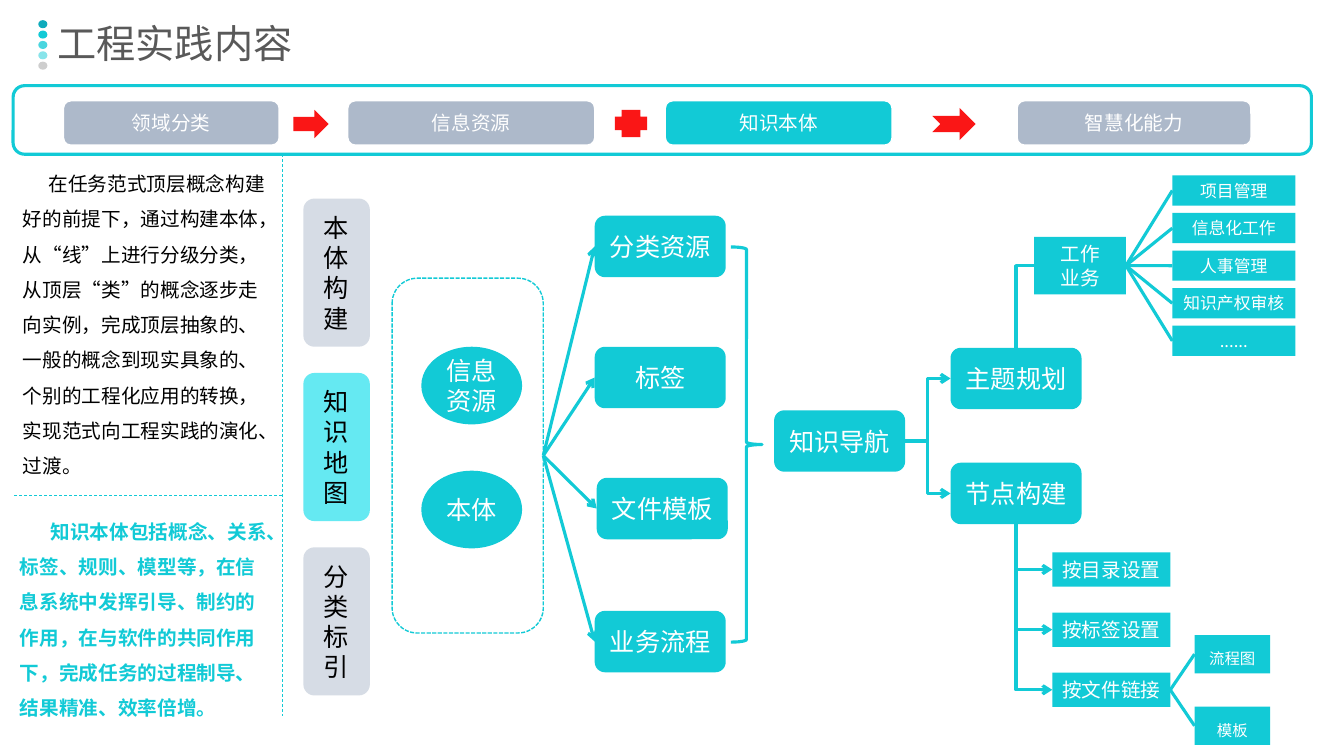
from dataclasses import dataclass

from lxml import etree
from pptx import Presentation, util as u
from pptx.dml.color import RGBColor
from pptx.enum import dml, shapes, text
from pptx.oxml import ns

KIND = shapes.MSO_SHAPE
ALIGN = text.PP_ALIGN
ANCHOR = text.MSO_ANCHOR
TOP, LEFT, BOTTOM, RIGHT = range(4)


@dataclass(frozen=True)
class Theme:
    """Colours, font, type sizes and line widths of the slide."""
    face: str = "Noto Sans CJK SC"
    teal: str = "12CAD6"
    deep: str = "0FABBC"
    aqua: str = "65E9F2"
    slate: str = "ADB9CA"
    pale: str = "D6DCE5"
    grey: str = "BFBFBF"
    ink: str = "595959"
    red: str = "FA1616"
    black: str = "000000"
    white: str = "FFFFFF"
    title: int = 28
    large: int = 18
    body: int = 14
    small: int = 12
    tiny: int = 11
    thick: float = 2.25
    thin: float = 0.5


T = Theme()


def cell(n):
    """Turn grid cells, ten to the inch, into a length."""
    return u.Inches(n / 10)


def area(box):
    """Turn a column, row, width and height into lengths."""
    return [cell(n) for n in box]


def child(node, tag, **attrs):
    """Append a drawing element to a node."""
    return etree.SubElement(node, ns.qn(tag), attrs)


def write(frame, words, size, color, align=ALIGN.CENTER, bold=False, gap=None, indent=0):
    """Set the words of a frame and format their runs."""
    frame.text = words
    for para in frame.paragraphs:
        para.alignment = align
        if gap:
            para.line_spacing = gap
        if indent:
            para._p.get_or_add_pPr().set("indent", str(cell(indent)))
        for run in para.runs:
            font = run.font
            font.size, font.bold = u.Pt(size), bold
            font.color.rgb = RGBColor.from_string(color)
            font.name = T.face
            child(run._r.get_or_add_rPr(), "a:ea", typeface=T.face)


def shape(slide, kind, box, fill=None, line=None, width=1, alpha=None):
    """Add a flat shape with an optional fill and outline."""
    item = slide.shapes.add_shape(kind, *area(box))
    item.shadow.inherit = False
    if fill:
        item.fill.solid()
        item.fill.fore_color.rgb = RGBColor.from_string(fill)
        if alpha:
            tint = item._element.spPr.find(".//" + ns.qn("a:srgbClr"))
            child(tint, "a:alpha", val=str(alpha * 1000))
    else:
        item.fill.background()
    if line:
        item.line.color.rgb = RGBColor.from_string(line)
        item.line.width = u.Pt(width)
    else:
        item.line.fill.background()
    return item


def node(slide, words, box, kind=KIND.RECTANGLE, size=T.large, fill=T.teal,
         color=T.white, line=None, wrap=True):
    """Add a filled shape with centred words."""
    item = shape(slide, kind, box, fill, line)
    frame = item.text_frame
    frame.word_wrap = wrap
    frame.vertical_anchor = ANCHOR.MIDDLE
    write(frame, words, size, color)
    return item


def note(slide, words, box, color, indent, bold=False):
    """Add a wrapped paragraph with a first-line indent."""
    frame = slide.shapes.add_textbox(*area(box)).text_frame
    frame.word_wrap = True
    write(frame, words, T.body, color, ALIGN.LEFT, bold, 1.5, indent)


def wire(slide, ends, width=T.thick, bent=False):
    """Add a teal connector between two grid points."""
    kind = shapes.MSO_CONNECTOR.ELBOW if bent else shapes.MSO_CONNECTOR.STRAIGHT
    line = slide.shapes.add_connector(kind, *area(ends))
    line.line.color.rgb = RGBColor.from_string(T.teal)
    line.line.width = u.Pt(width)
    child(line._element.spPr, "a:effectLst")
    return line


def tip(line, end="a:tailEnd"):
    """Put an open arrowhead on one end of a connector."""
    child(line.line._get_or_add_ln(), end, type="arrow")


def link(slide, start, stop, arrow=False, bent=False):
    """Join the right side of one node to the left side of another."""
    line = wire(slide, (0, 0, 0, 0), bent=bent)
    line.begin_connect(start, RIGHT)
    line.end_connect(stop, LEFT)
    if arrow:
        tip(line)


def branch(slide, leaf, stem, side, arrow=False):
    """Join the left side of a leaf to the top or bottom of its stem."""
    line = wire(slide, (0, 0, 0, 0), bent=True)
    line.begin_connect(leaf, LEFT)
    line.end_connect(stem, side)
    line._element.spPr.find(ns.qn("a:prstGeom")).set("prst", "bentConnector2")
    if arrow:
        tip(line, "a:headEnd")


def dash(slide, ends):
    """Add a thin dashed divider."""
    wire(slide, ends, T.thin).line.dash_style = dml.MSO_LINE.DASH


def head(slide):
    """Format the title and its column of dots."""
    dots = [(T.deep, None), (T.teal, None), (T.teal, 76), (T.teal, 50), (T.grey, 76)]
    for i, (color, alpha) in enumerate(dots):
        shape(slide, KIND.OVAL, (3.8, 2 + 1.03 * i, 0.9, 0.8), color, alpha=alpha)
    title = slide.shapes.title
    title.left, title.top, title.width, title.height = area((4.7, 1.9, 54.4, 5.2))
    title.text_frame.vertical_anchor = ANCHOR.MIDDLE
    write(title.text_frame, "工程实践内容", T.title, T.ink, ALIGN.LEFT, gap=0.9)


def banner(slide):
    """Draw the framed chain of steps."""
    steps = [("领域分类", 6.3, 21.4, T.slate), ("信息资源", 34.5, 24.5, T.slate),
             ("知识本体", 66, 22.5, T.teal), ("智慧化能力", 100.9, 23.2, T.slate)]
    for words, col, width, fill in steps:
        node(slide, words, (col, 10, width, 4.4), KIND.ROUNDED_RECTANGLE,
             T.body, fill, line=T.white)
    shape(slide, KIND.ROUNDED_RECTANGLE, (1.3, 8.5, 128.8, 6.8), line=T.teal, width=T.thick)
    shape(slide, KIND.RIGHT_ARROW, (29.1, 10.9, 3.5, 2.8), T.red)
    shape(slide, KIND.CROSS, (61, 10.9, 3.2, 2.7), T.red)
    shape(slide, KIND.NOTCHED_RIGHT_ARROW, (92.5, 10.7, 4.3, 3.2), T.red)


def aside(slide):
    """Write the two notes, their dividers and the side labels."""
    dash(slide, (28, 15.3, 28, 71))
    dash(slide, (28, 49.1, 1.3, 49.1))
    note(slide, "在任务范式顶层概念构建好的前提下，通过构建本体，从“线”上进行分级分类，"
         "从顶层“类”的概念逐步走向实例，完成顶层抽象的、一般的概念到现实具象的、"
         "个别的工程化应用的转换，实现范式向工程实践的演化、过渡。",
         (1.3, 15.4, 26.7, 32.8), T.black, 2.55)
    note(slide, "知识本体包括概念、关系、标签、规则、模型等，在信息系统中发挥引导、制约的作用，"
         "在与软件的共同作用下，完成任务的过程制导、结果精准、效率倍增。",
         (1, 49.9, 26.7, 22.2), T.teal, 3.05, True)
    labels = [("本体构建", T.pale), ("知识地图", T.aqua), ("分类标引", T.pale)]
    for i, (words, fill) in enumerate(labels):
        node(slide, words, (30.1, 19.7 + 17.3 * i, 6.6, 14.7),
             KIND.ROUNDED_RECTANGLE, fill=fill, color=T.black)


def chart(slide):
    """Draw the map from resources to the navigation node's leaves."""
    def pill(words, col, row):
        """Add a rounded node of the common size."""
        return node(slide, words, (col, row, 13, 6.1), KIND.ROUNDED_RECTANGLE)

    for words, row in [("信息资源", 34.4), ("本体", 46.7)]:
        node(slide, words, (41.8, row, 10, 7.7), KIND.OVAL)
    panel = shape(slide, KIND.ROUNDED_RECTANGLE, (38.9, 27.6, 15, 35.2), line=T.teal)
    panel.line.dash_style = dml.MSO_LINE.SQUARE_DOT
    for words, col, row in [("分类资源", 59, 21.4), ("标签", 59, 34.4),
                            ("文件模板", 59.2, 47.4), ("业务流程", 59, 60.6)]:
        link(slide, panel, pill(words, col, row), arrow=True)
    brace = shape(slide, KIND.RIGHT_BRACE, (72.5, 24.5, 3.1, 39.2), line=T.teal, width=T.thick)
    brace.adjustments[0] = 0.08

    hub = pill("知识导航", 76.8, 40.7)
    plan, build = pill("主题规划", 94.3, 34.5), pill("节点构建", 94.3, 45.9)
    for goal in (plan, build):
        link(slide, hub, goal, arrow=True, bent=True)

    work = node(slide, "工作\n业务", (102.6, 23.5, 9.1, 5.7), size=T.body)
    branch(slide, work, plan, TOP)
    tasks = ["项目管理", "信息化工作", "人事管理", "知识产权审核", "......"]
    for i, words in enumerate(tasks):
        task = node(slide, words, (116.3, 17.4 + 3.73 * i, 12.2, 3), size=T.small)
        link(slide, work, task)

    for i, words in enumerate(["按目录设置", "按标签设置", "按文件链接"]):
        leaf = node(slide, words, (104.4, 54.8 + 5.97 * i, 11.7, 3.4), size=T.body, wrap=False)
        branch(slide, leaf, build, BOTTOM, arrow=True)
    for words, row in [("流程图", 63), ("模板", 70.1)]:
        file = node(slide, words, (118.5, row, 7.5, 3.8), size=T.tiny)
        file.text_frame.paragraphs[0].line_spacing = 1.5
        link(slide, leaf, file)


def main():
    """Build and save the slide."""
    deck = Presentation()
    deck.slide_width, deck.slide_height = cell(133.33), cell(75)
    slide = deck.slides.add_slide(deck.slide_layouts[5])
    for draw in (head, banner, aside, chart):
        draw(slide)
    deck.save("out.pptx")


if __name__ == "__main__":
    main()
